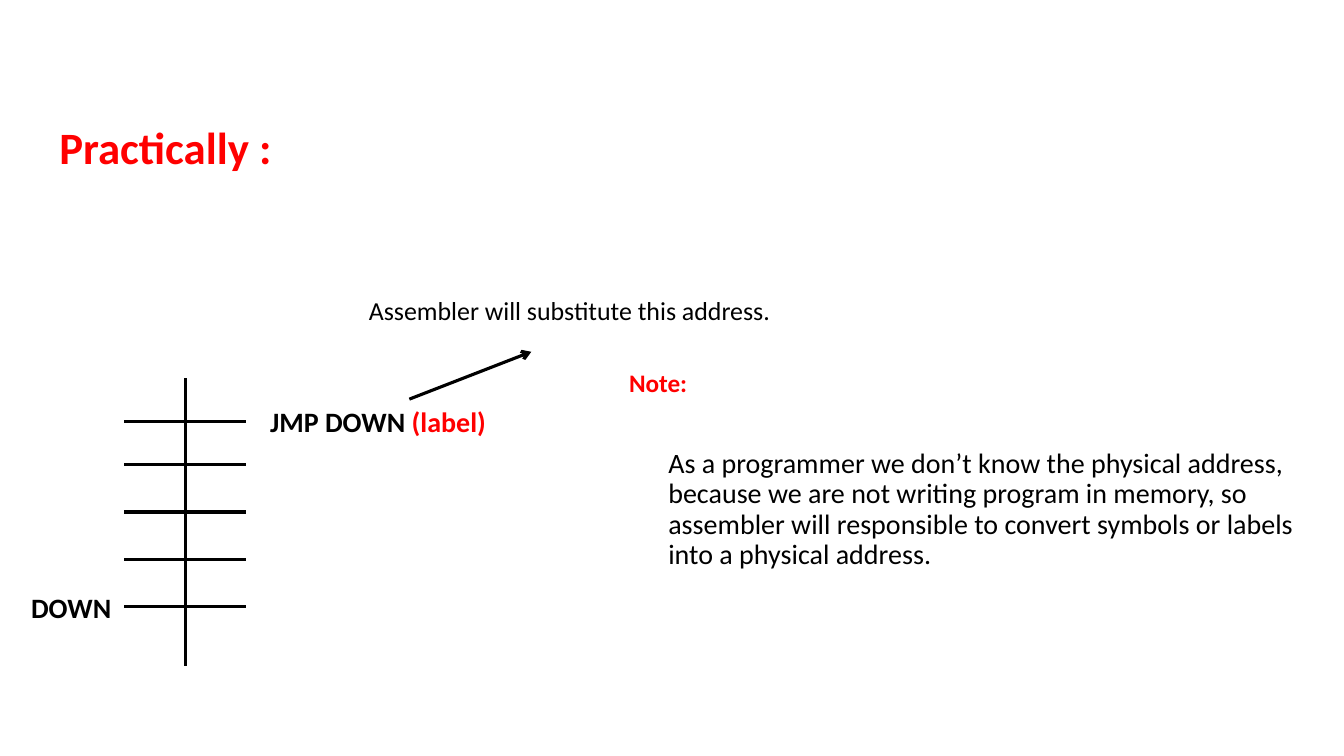
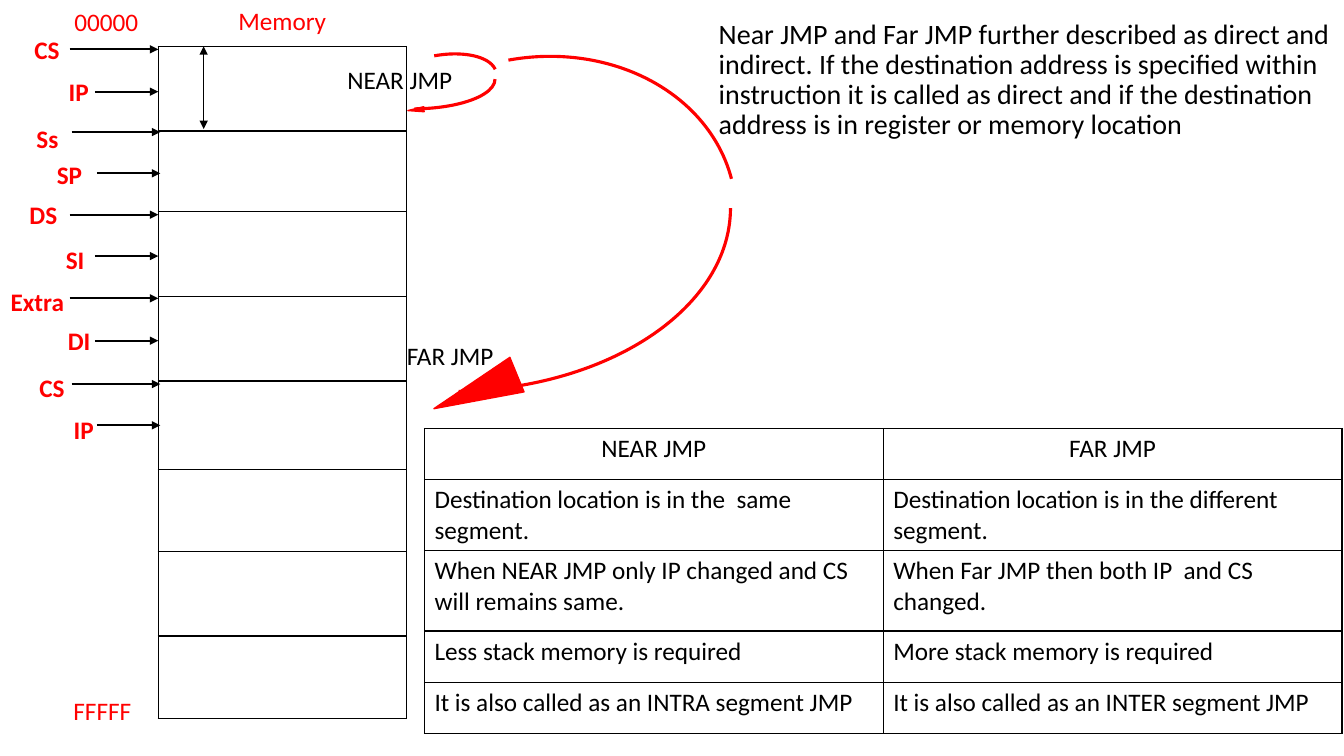
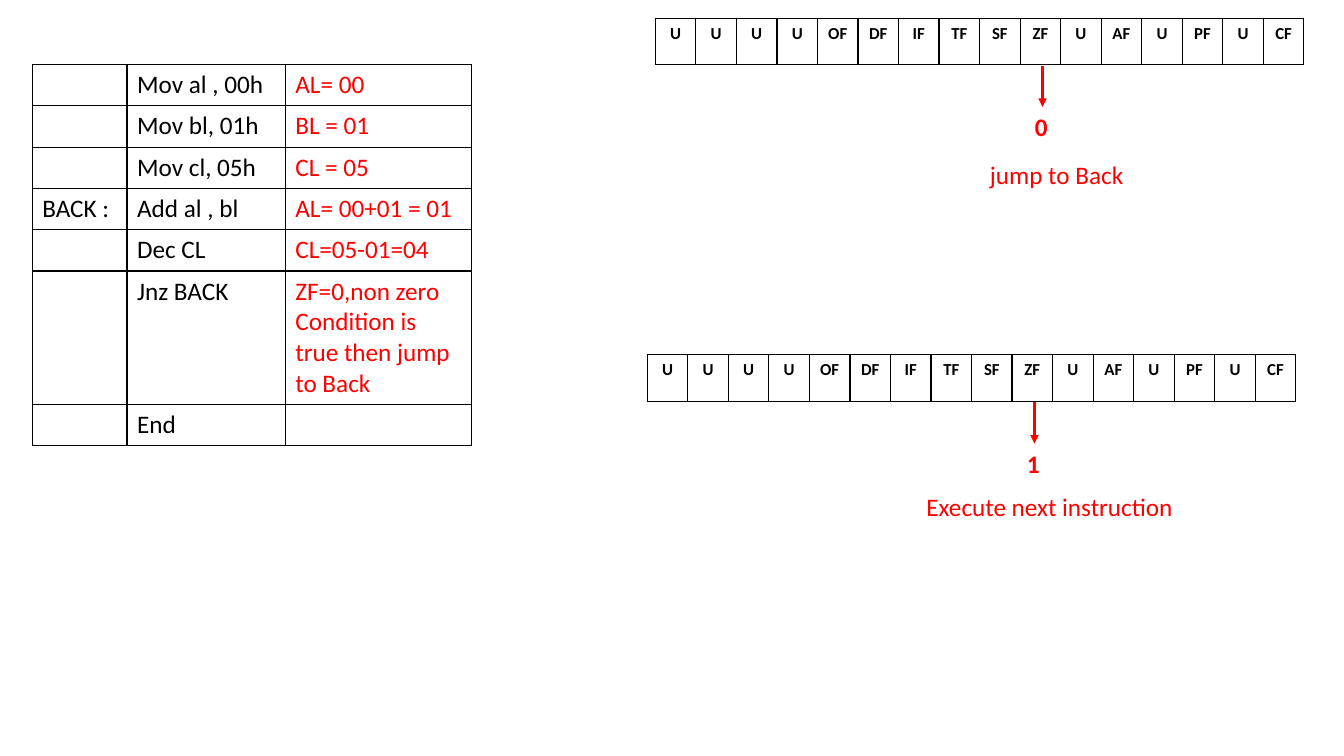
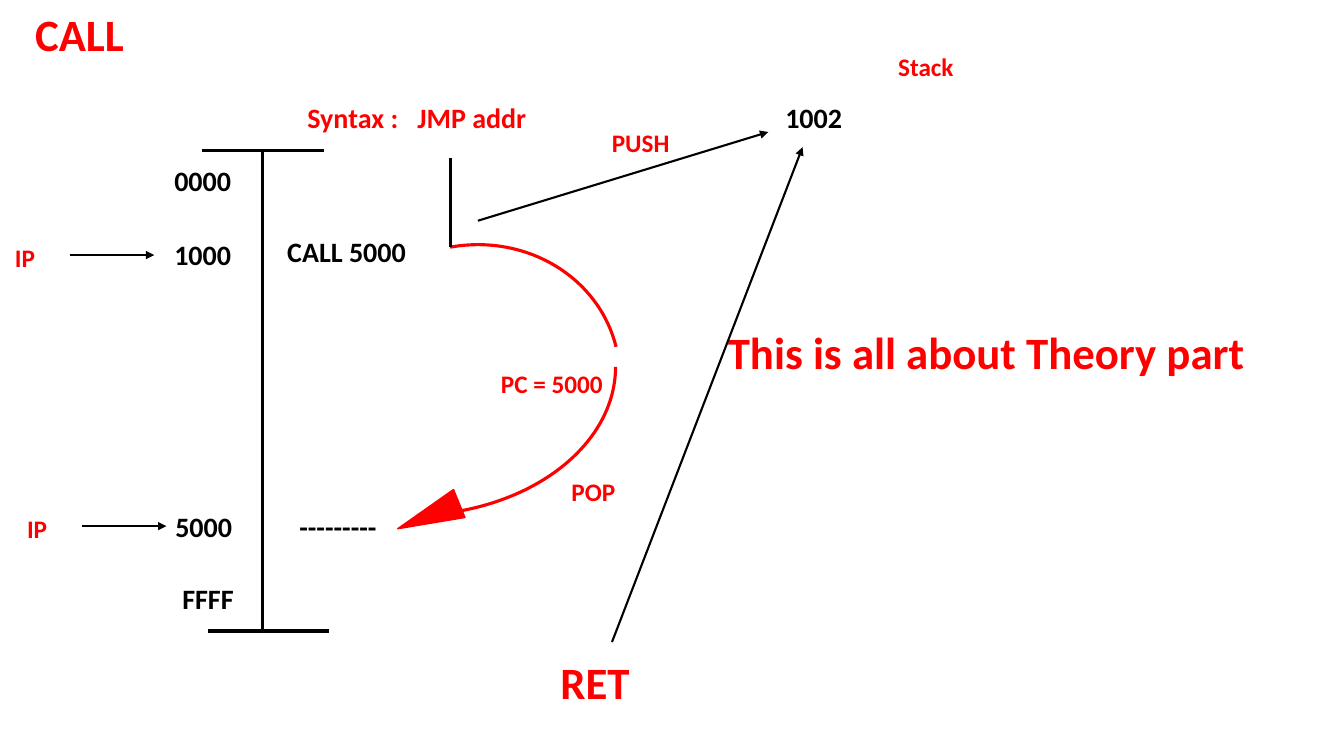
from dataclasses import dataclass
from typing import NamedTuple, Optional

from pptx import Presentation
from pptx.dml.color import RGBColor
from pptx.enum.shapes import MSO_CONNECTOR, MSO_SHAPE
from pptx.enum.text import MSO_ANCHOR, PP_ALIGN
from pptx.oxml import parse_xml
from pptx.oxml.ns import nsdecls
from pptx.oxml.xmlchemy import OxmlElement
from pptx.util import Emu, Inches, Pt

# Shared look
FONT = "Calibri"
RED, BLACK = "FF0000", "000000"
HEADING, BODY, NORMAL, FLAG = 32, 20, 18, 12
THICK, MEDIUM, THIN = 2.25, 1.5, 1
LEFT, CENTER = PP_ALIGN.LEFT, PP_ALIGN.CENTER
TOP_SIDE, RIGHT_SIDE = 0, 3

# The slide is a grid of square cells, 75 rows high
SLIDE_WIDTH, SLIDE_HEIGHT = Inches(13.33), Inches(7.5)
CELL = SLIDE_HEIGHT / 75


def grid(cells: float) -> Emu:
    return Emu(round(cells * CELL))


def color(hex_code: str) -> RGBColor:
    return RGBColor.from_string(hex_code)


@dataclass
class Label:
    text: str
    left: float
    top: float
    width: float
    size: float = NORMAL
    ink: str = RED
    bold: bool = True
    align: PP_ALIGN = LEFT
    wrap: bool = True
    height: Optional[float] = None
    line_spacing: Optional[float] = None
    red_tail: str = ""
    tab: float = 0


class Line(NamedTuple):
    x1: float
    y1: float
    x2: float
    y2: float
    weight: float = THICK
    ink: str = BLACK
    head: str = ""
    tail: str = ""


class Box(NamedTuple):
    left: float
    top: float
    width: float
    height: float
    rotation: float


class Jump(NamedTuple):
    upper: Box
    lower: Box
    tip: Box


class Pointer(NamedTuple):
    register: str
    left: float
    top: float
    width: float
    start: float
    y: float
    end: float = 15.7


@dataclass
class Grid:
    left: float
    top: float
    columns: list
    rows: list
    texts: list
    inks: tuple = ()
    size: float = NORMAL
    bold: bool = False
    centered_rows: int = 0


# Drawing functions
def style_run(run, size: float, ink: str, bold: bool) -> None:
    for attribute, value in {"name": FONT, "size": Pt(size), "bold": bold}.items():
        setattr(run.font, attribute, value)
    run.font.color.rgb = color(ink)


def draw_label(slide, label: Label):
    height = label.height or label.size / 6 + 1
    box = slide.shapes.add_textbox(*map(grid, (label.left, label.top, label.width, height)))
    frame = box.text_frame
    for attribute, value in {"word_wrap": label.wrap, "vertical_anchor": MSO_ANCHOR.TOP}.items():
        setattr(frame, attribute, value)
    paragraph = frame.paragraphs[0]
    if label.tab:
        tabs = OxmlElement("a:tabLst")
        stop = OxmlElement("a:tab")
        stop.set("pos", str(grid(label.tab)))
        stop.set("algn", "l")
        tabs.append(stop)
        paragraph._p.get_or_add_pPr().append(tabs)
    paragraph.alignment = label.align
    if label.line_spacing:
        paragraph.line_spacing = label.line_spacing
    for text, ink in ((label.text, label.ink), (label.red_tail, RED)):
        if text:
            run = paragraph.add_run()
            run.text = text
            style_run(run, label.size, ink, label.bold)
    return box


def draw_line(slide, line: Line):
    connector = slide.shapes.add_connector(
        MSO_CONNECTOR.STRAIGHT, *map(grid, (line.x1, line.y1, line.x2, line.y2)))
    connector.line.color.rgb = color(line.ink)
    connector.line.width = Pt(line.weight)
    outline = connector.line._get_or_add_ln()
    for end, kind in (("headEnd", line.head), ("tailEnd", line.tail)):
        if kind:
            arrowhead = OxmlElement(f"a:{end}")
            arrowhead.set("type", kind)
            outline.append(arrowhead)
    connector._element.spPr.append(OxmlElement("a:effectLst"))
    return connector


def draw_preset(slide, preset: MSO_SHAPE, box: Box, weight: float):
    shape = slide.shapes.add_shape(preset, *map(grid, box[:4]))
    shape.rotation = box.rotation
    shape.shadow.inherit = False
    shape.line.color.rgb = color(RED)
    shape.line.width = Pt(weight)
    return shape


def draw_jump(slide, jump: Jump) -> None:
    for box in (jump.upper, jump.lower):
        arc = draw_preset(slide, MSO_SHAPE.ARC, box, THICK)
        arc.fill.background()
        arc.adjustments[0], arc.adjustments[1] = 162, 214.147
    tip = draw_preset(slide, MSO_SHAPE.ISOSCELES_TRIANGLE, jump.tip, THIN)
    tip.fill.solid()
    tip.fill.fore_color.rgb = color(RED)


def draw_borders(cell) -> None:
    properties = cell._tc.get_or_add_tcPr()
    for side in ("lnL", "lnR", "lnT", "lnB"):
        properties.append(parse_xml(
            f'<a:{side} {nsdecls("a")} w="{Pt(THIN)}"><a:solidFill>'
            f'<a:srgbClr val="{BLACK}"/></a:solidFill></a:{side}>'))


def draw_table(slide, spec: Grid) -> None:
    frame = slide.shapes.add_table(
        len(spec.rows), len(spec.columns),
        *map(grid, (spec.left, spec.top, sum(spec.columns), sum(spec.rows))))
    table = frame.table
    table.first_row = table.horz_banding = False
    for column, width in zip(table.columns, spec.columns):
        column.width = grid(width)
    for row, height in zip(table.rows, spec.rows):
        row.height = grid(height)
    for r, texts in enumerate(spec.texts):
        for c, text in enumerate(texts):
            cell = table.cell(r, c)
            draw_borders(cell)
            cell.fill.background()
            cell.text_frame.text = text
            for paragraph in cell.text_frame.paragraphs:
                paragraph.alignment = CENTER if r < spec.centered_rows else LEFT
                for run in paragraph.runs:
                    style_run(run, spec.size, spec.inks[c] if spec.inks else BLACK, spec.bold)


def draw_all(slide, labels: list, lines: list) -> None:
    for label in labels:
        draw_label(slide, label)
    for line in lines:
        draw_line(slide, line)


def body_text(text: str, left: float, top: float, width: float = 66.9,
              height: float = 13.3, size: float = BODY) -> Label:
    return Label(text, left, top, width, size, BLACK, False,
                 height=height, line_spacing=0.9)


# Slide 1: label resolved by the assembler
def practically(slide) -> None:
    rungs = [Line(24.4, y, 12.3, y) for y in (41.8, 46.1, 50.8, 55.5, 60.2)]
    draw_all(slide, [
        Label("Practically :", 4.9, 11.4, 26.9, HEADING),
        Label("JMP DOWN ", 25.8, 39.6, 26.9, BODY, BLACK, red_tail="(label)"),
        Label("DOWN", 2.1, 58.1, 10.9, BODY, BLACK),
        body_text("Assembler will substitute this address.", 35.6, 29.1, 44.5, 5.3, 18.5),
        Label("Note:", 61.4, 35.9, 7.8, wrap=False),
        body_text("As a programmer we don’t know the physical address, because we are not "
                  "writing program in memory, so assembler will responsible to convert "
                  "symbols or labels into a physical address.", 65.3, 44.1),
    ], [Line(18.4, 37.5, 18.4, 66.1), *rungs,
        Line(40.6, 39.6, 52.7, 34.9, tail="arrow")])


# Slide 2: near and far jumps in memory
POINTERS = [
    Pointer("CS", 2.4, 2.9, 4.5, 6.9, 4.9),
    Pointer("IP", 5.8, 7.1, 4, 9.4, 9.1),
    Pointer("Ss", 2.6, 11.7, 4.2, 7.1, 13.1, 15.9),
    Pointer("SP", 4.6, 15.3, 4.6, 9.6, 17.2, 15.9),
    Pointer("DS", 1.9, 19.3, 4.8, 6.9, 21.3),
    Pointer("SI", 5.5, 23.7, 3.9, 9.4, 25.4),
    Pointer("Extra", 0, 27.9, 7.4, 6.9, 29.6),
    Pointer("DI", 5.7, 31.8, 4.3, 9.4, 33.8),
    Pointer("CS", 2.9, 36.4, 4.5, 7.1, 38.1, 15.9),
    Pointer("IP", 6.3, 40.6, 4, 9.6, 42.2, 15.9),
]
SEGMENT_ROWS = [8.4, 8, 8.4, 8.4, 8.8, 8.1, 8.4, 8.2]
COMPARISON = [
    ("NEAR JMP", "FAR JMP"),
    ("Destination location is in the  same segment.",
     "Destination location is in the different segment."),
    ("When NEAR JMP only IP changed and CS will remains same.",
     "When Far JMP then both IP  and CS changed."),
    ("Less stack memory is required", "More stack memory is required"),
    ("It is also called as an INTRA segment JMP", "It is also called as an INTER segment JMP"),
]
NEAR_JUMP = Jump(Box(37.8, 5.5, 11.5, 5.4, 349.7), Box(38, -0.3, 5.9, 16.3, 90),
                 Box(41, 10.1, 0.5, 1.6, 265.3))
FAR_JUMP = Jump(Box(33.7, 5.7, 39.4, 33.2, 349.7), Box(26.3, -7.3, 36.4, 55.9, 90),
                Box(45.3, 34.4, 3.7, 8.9, 247.7))


def near_and_far(slide) -> None:
    draw_table(slide, Grid(15.7, 4.6, [24.6], SEGMENT_ROWS, [("",)] * len(SEGMENT_ROWS)))
    for pointer in POINTERS:
        register = draw_label(slide, Label(pointer.register, pointer.left, pointer.top,
                                           pointer.width, align=CENTER, wrap=False))
        arrow = draw_line(slide, Line(pointer.start, pointer.y, pointer.end, pointer.y,
                                      MEDIUM, tail="triangle"))
        if pointer is POINTERS[0]:
            arrow.begin_connect(register, RIGHT_SIDE)
    for jump in (NEAR_JUMP, FAR_JUMP):
        draw_jump(slide, jump)
    plain = {"bold": False, "align": CENTER}
    draw_all(slide, [
        Label("Memory", 22.6, 0, 10.8, wrap=False, **plain),
        Label("00000", 6.3, 0.1, 8.5, wrap=False, **plain),
        Label("FFFFF", 6.2, 68.5, 7.9, wrap=False, **plain),
        Label("NEAR JMP", 32.7, 5.9, 13.9, ink=BLACK, **plain),
        Label("FAR JMP", 37.7, 33.3, 13.9, ink=BLACK, **plain),
        body_text("Near JMP and Far JMP further described as direct and indirect. If the "
                  "destination address is specified within instruction it is called as direct "
                  "and if the destination address is in register or memory location", 70.3, 1.5),
    ], [Line(20.2, 4.6, 20.2, 12.8, THIN, head="triangle", tail="triangle")])
    draw_table(slide, Grid(42.1, 42.5, [45.5] * 2, [5.1, 5.1, 8, 5.1, 5.1],
                           COMPARISON, centered_rows=1))


# Slide 3: loop trace and flag register
PROGRAM = [
    ("", "Mov al , 00h", "AL= 00"),
    ("", "Mov bl, 01h", "BL = 01"),
    ("", "Mov cl, 05h", "CL = 05"),
    ("BACK :", "Add al , bl", "AL= 00+01 = 01"),
    ("", "Dec CL", "CL=05-01=04"),
    ("", "Jnz BACK", "ZF=0,non zero\nCondition is true then jump to Back"),
    ("", "End", ""),
]
FLAGS = "U U U U OF DF IF TF SF ZF U AF U PF U CF".split()


def draw_flags(slide, left: float, top: float, zero_flag: str, outcome: Label) -> None:
    draw_table(slide, Grid(left, top, [4.02] * len(FLAGS), [4.6], [FLAGS],
                           size=FLAG, bold=True, centered_rows=1))
    value = draw_label(slide, Label(zero_flag, left + 36.65, top + 8.8, 3.5))
    arrow = draw_line(slide, Line(left + 38.4, top + 4.7, left + 38.4, top + 8.8,
                                  MEDIUM, RED, tail="triangle"))
    arrow.end_connect(value, TOP_SIDE)
    draw_label(slide, outcome)


def loop_trace(slide) -> None:
    draw_table(slide, Grid(3.2, 6.4, [9.4, 15.7, 18.5], [4.1] * len(PROGRAM),
                           PROGRAM, (BLACK, BLACK, RED)))
    draw_flags(slide, 65, 1.8, "0", Label("jump to Back", 97.2, 15.3, 19.7, bold=False))
    draw_flags(slide, 64.2, 35.2, "1",
               Label("Execute next instruction", 90.9, 48.3, 30.1, bold=False))


# Slide 4: CALL and RET
CALL_JUMP = Jump(Box(32.6, 24.3, 28.9, 26.9, 349.7), Box(25.8, 15.9, 29.5, 41, 90),
                 Box(41, 47.9, 3, 6.6, 247.7))


def call_and_return(slide) -> None:
    draw_jump(slide, CALL_JUMP)
    addresses = [("0000", 16.3, 15.7), ("1000", 16.3, 23.1), ("5000", 16.4, 50.1),
                 ("FFFF", 17.1, 57.2), ("1002", 76.9, 9.5)]
    draw_all(slide, [
        Label("CALL", 2.5, 0.2, 12.9, HEADING),
        Label("Syntax :\tJMP addr", 29.5, 9.5, 31.5, BODY, tab=10.9),
        *(Label(text, left, top, 8.5, BODY, BLACK) for text, left, top in addresses),
        Label("CALL 5000", 27.5, 22.8, 26.9, BODY, BLACK),
        Label("---------", 28.7, 50.1, 13.2, BODY, BLACK),
        Label("IP", 0.5, 23.5, 5.6),
        Label("IP", 1.7, 50.4, 5.6),
        Label("PC = 5000", 48.7, 36.1, 13.8),
        Label("PUSH", 59.7, 12.1, 12.6),
        Label("POP", 55.7, 46.8, 12.6),
        Label("Stack", 88.1, 4.6, 12.6),
        Label("RET", 54.6, 64.5, 12.9, HEADING),
        Label("This is all about Theory part", 71.2, 31.7, 63.3, HEADING),
    ], [
        Line(26, 15.1, 26, 62.6),
        Line(32.1, 14.9, 20, 14.9),
        Line(32.6, 62.6, 20.6, 62.6),
        Line(44.7, 15.7, 44.7, 24.5),
        *(Line(*ends, MEDIUM, tail="triangle") for ends in (
            (6.9, 25.3, 15.3, 25.3), (8.1, 52.2, 16.5, 52.2),
            (47.4, 21.9, 76.2, 13.1), (60.7, 63.7, 79.6, 14.6))),
    ])


def main() -> None:
    deck = Presentation()
    deck.slide_width, deck.slide_height = SLIDE_WIDTH, SLIDE_HEIGHT
    blank = deck.slide_layouts[6]
    for build in (practically, near_and_far, loop_trace, call_and_return):
        build(deck.slides.add_slide(blank))
    deck.save("out.pptx")


if __name__ == "__main__":
    main()
